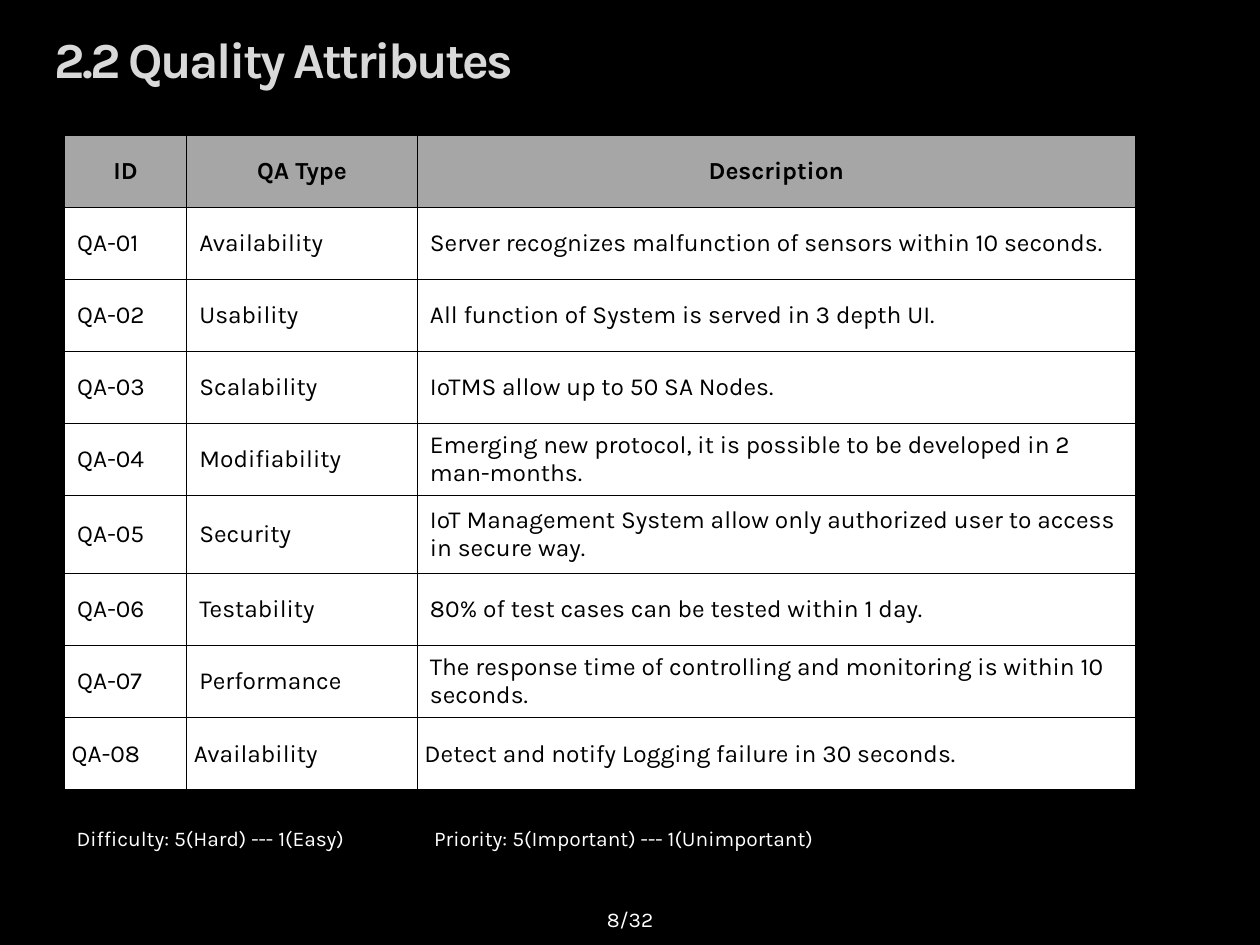
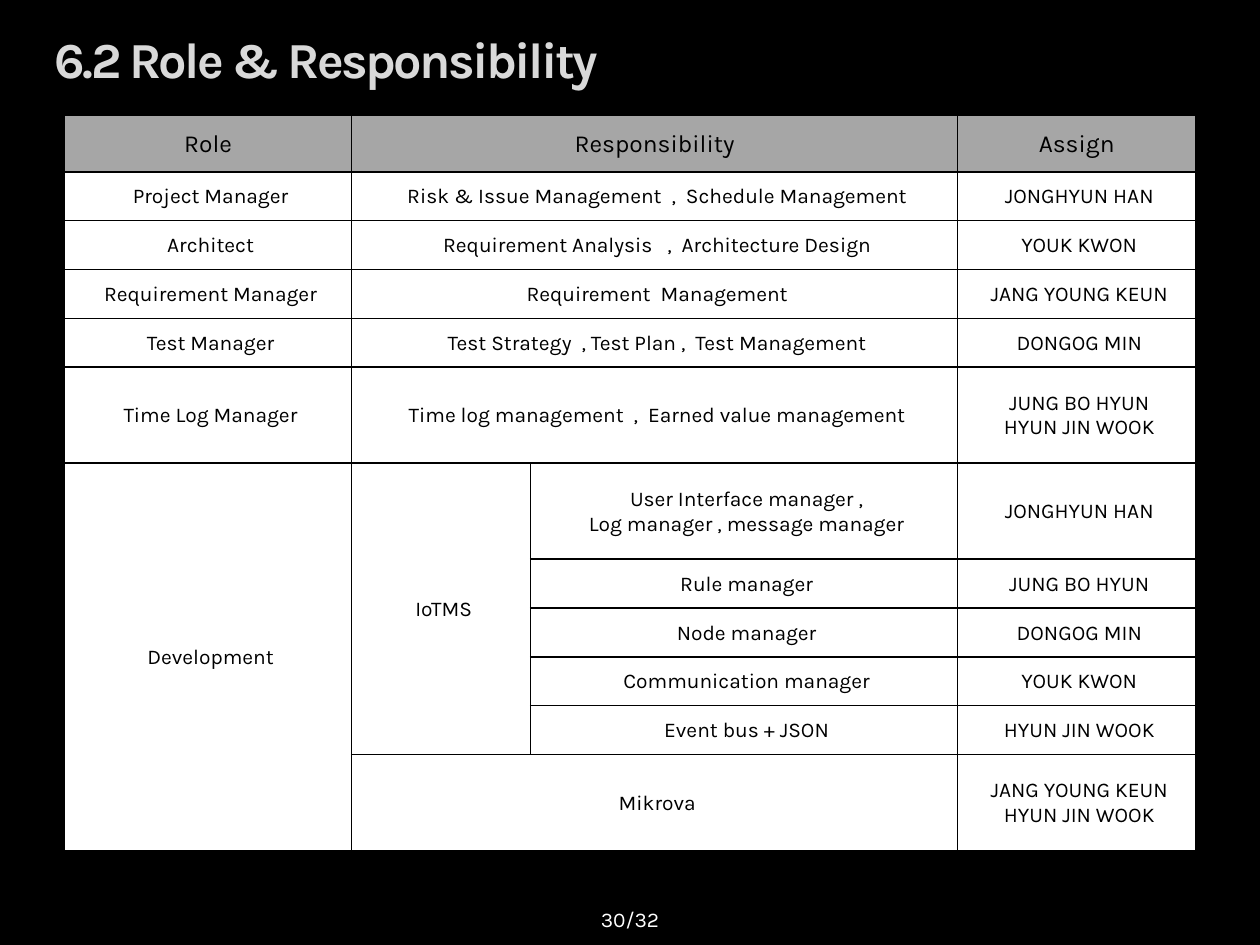
from collections import namedtuple

from lxml import etree
from pptx import Presentation
from pptx.dml.color import RGBColor
from pptx.enum.text import MSO_ANCHOR, PP_ALIGN
from pptx.oxml.ns import qn
from pptx.util import Pt

LEFT, CENTER = PP_ALIGN.LEFT, PP_ALIGN.CENTER
TOP, MIDDLE = MSO_ANCHOR.TOP, MSO_ANCHOR.MIDDLE

BLACK = RGBColor(0x00, 0x00, 0x00)
WHITE = RGBColor(0xFF, 0xFF, 0xFF)
HEADER_GRAY = RGBColor(0xA6, 0xA6, 0xA6)
TITLE_GRAY = RGBColor(0xD9, 0xD9, 0xD9)
FONT = "Karla"
TITLE_ONLY = 5
PAGE_COUNT = 32

Box = namedtuple("Box", "left top width height")
CellStyle = namedtuple("CellStyle", "size bold align margins fill")

SLIDE = Box(0, 0, 720, 540)
TITLE_BOX = Box(24.2, 15, 658, 37)
PAGE_BOX = Box(276, 510.6, 168, 29)
QUALITY_BOX = Box(36.9, 77.4, 612, 374)
LEGEND_BOX = Box(36.7, 468.3, 612, 21.6)
ROLE_BOX = Box(36.8, 65.8, 646.6, 420)

PLAIN_MARGINS = (7.2, 3.6, 7.2, 3.6)
LAST_ROW_MARGINS = (4.1, 0.7, 0.7, 0)
ROLE_HEADER_MARGINS = (0.7, 0.7, 0.7, 0)
ROLE_MARGINS = (5.8, 0.7, 2.9, 0)

QUALITY_ROWS = [
    ("ID", "QA Type", "Description"),
    ("QA-01", "Availability", "Server recognizes malfunction of sensors within 10 seconds."),
    ("QA-02", "Usability", "All function of System is served in 3 depth UI."),
    ("QA-03", "Scalability", "IoTMS allow up to 50 SA Nodes."),
    ("QA-04", "Modifiability", "Emerging new protocol, it is possible to be developed in 2 man-months."),
    ("QA-05", "Security", "IoT Management System allow only authorized user to access in secure way."),
    ("QA-06", "Testability", "80% of test cases can be tested within 1 day."),
    ("QA-07", "Performance", "The response time of controlling and monitoring is within 10 seconds."),
    ("QA-08", "Availability", "Detect and notify Logging failure in 30 seconds."),
]

ROLE_ROWS = [
    ("Role", "Responsibility", None, "Assign"),
    ("Project Manager", "Risk & Issue Management  ,  Schedule Management", None, "JONGHYUN HAN"),
    ("Architect", "Requirement Analysis   ,  Architecture Design", None, "YOUK KWON"),
    ("Requirement Manager", "Requirement  Management", None, "JANG YOUNG KEUN"),
    ("Test Manager", "Test Strategy  , Test Plan ,  Test Management", None, "DONGOG MIN"),
    ("Time Log Manager", "Time log management  ,  Earned value management", None,
     "JUNG BO HYUN\nHYUN JIN WOOK"),
    ("Development", "IoTMS", "User Interface manager ,\nLog manager , message manager", "JONGHYUN HAN"),
    (None, None, "Rule manager", "JUNG BO HYUN"),
    (None, None, "Node manager", "DONGOG MIN"),
    (None, None, "Communication manager", "YOUK KWON"),
    (None, None, "Event bus + JSON", "HYUN JIN WOOK"),
    (None, "Mikrova", None, "JANG YOUNG KEUN\nHYUN JIN WOOK"),
]


def points(box):
    return [Pt(length) for length in box]


def format_text(text_frame, size, color, align=LEFT, bold=False):
    for paragraph in text_frame.paragraphs:
        paragraph.alignment = align
        paragraph.font.name = FONT
        paragraph.font.size = Pt(size)
        paragraph.font.bold = bold
        paragraph.font.color.rgb = color


def add_label(slide, box, text, align=LEFT, anchor=TOP):
    text_frame = slide.shapes.add_textbox(*points(box)).text_frame
    text_frame.word_wrap = True
    text_frame.vertical_anchor = anchor
    text_frame.text = text
    format_text(text_frame, 12, WHITE, align)


def add_title(slide, box, text):
    title = slide.shapes.title
    title.left, title.top, title.width, title.height = points(box)
    text_frame = title.text_frame
    text_frame.text = text
    text_frame.vertical_anchor = MIDDLE
    format_text(text_frame, 28.8, TITLE_GRAY, bold=True)
    text_frame.paragraphs[0].runs[0].font._element.set("spc", "-150")


def add_framed_slide(presentation, title, page):
    slide = presentation.slides.add_slide(presentation.slide_layouts[TITLE_ONLY])
    add_title(slide, TITLE_BOX, title)
    add_label(slide, PAGE_BOX, f"{page}/{PAGE_COUNT}", CENTER, MIDDLE)
    return slide


def add_borders(cell):
    properties = cell._tc.get_or_add_tcPr()
    for position, side in enumerate(("lnL", "lnR", "lnT", "lnB")):
        line = etree.Element(qn(f"a:{side}"), w=str(Pt(1)))
        fill = etree.SubElement(line, qn("a:solidFill"))
        etree.SubElement(fill, qn("a:srgbClr"), val=str(BLACK))
        properties.insert(position, line)


def format_cell(cell, text, style):
    cell.fill.solid()
    cell.fill.fore_color.rgb = style.fill
    add_borders(cell)
    cell.vertical_anchor = MIDDLE
    (cell.margin_left, cell.margin_top,
     cell.margin_right, cell.margin_bottom) = points(style.margins)
    if text:
        cell.text_frame.text = text
    format_text(cell.text_frame, style.size, BLACK, style.align, style.bold)


def add_grid(slide, box, rows, widths, heights, styles):
    table = slide.shapes.add_table(len(rows), len(widths), *points(box)).table
    table.first_row = table.horz_banding = False
    for column, width in zip(table.columns, widths):
        column.width = Pt(width)
    for row, height in zip(table.rows, heights):
        row.height = Pt(height)
    for row, texts, style in zip(table.rows, rows, styles):
        for cell, text in zip(row.cells, texts):
            format_cell(cell, text, style)
    return table


def add_quality_table(slide, box):
    header = CellStyle(14, True, CENTER, PLAIN_MARGINS, HEADER_GRAY)
    body = CellStyle(14, False, LEFT, PLAIN_MARGINS, WHITE)
    last = body._replace(margins=LAST_ROW_MARGINS)
    heights = [41.14] * 5 + [44.6] + [41.14] * 3
    styles = [header] + [body] * 7 + [last]
    add_grid(slide, box, QUALITY_ROWS, (69.8, 131.8, 410.4), heights, styles)


def add_legend(slide, box):
    add_label(slide, box._replace(width=172), "Difficulty: 5(Hard) --- 1(Easy)")
    add_label(slide, box._replace(left=box.left + 204.3, width=236),
              "Priority: 5(Important) --- 1(Unimportant)")


def add_role_table(slide, box):
    header = CellStyle(14, False, CENTER, ROLE_HEADER_MARGINS, HEADER_GRAY)
    body = CellStyle(12, False, CENTER, ROLE_MARGINS, WHITE)
    single, double = 27.9, 54.9
    heights = [32.4] + [single] * 4 + [double] * 2 + [single] * 4 + [double]
    styles = [header] + [body] * (len(ROLE_ROWS) - 1)
    table = add_grid(slide, box, ROLE_ROWS, (164.2, 102.2, 244.1, 136.1), heights, styles)
    for row, texts in enumerate(ROLE_ROWS):
        if texts[2] is None:
            table.cell(row, 1).merge(table.cell(row, 2))
    development_row, last_row = 6, len(ROLE_ROWS) - 1
    table.cell(development_row, 0).merge(table.cell(last_row, 0))
    table.cell(development_row, 1).merge(table.cell(last_row - 1, 1))


def main():
    presentation = Presentation()
    presentation.slide_width, presentation.slide_height = points(SLIDE[2:])
    background = presentation.slide_master.background.fill
    background.solid()
    background.fore_color.rgb = BLACK

    quality_slide = add_framed_slide(presentation, "2.2 Quality Attributes", 8)
    add_quality_table(quality_slide, QUALITY_BOX)
    add_legend(quality_slide, LEGEND_BOX)

    role_slide = add_framed_slide(presentation, "6.2 Role & Responsibility", 30)
    add_role_table(role_slide, ROLE_BOX)

    presentation.save("out.pptx")


if __name__ == "__main__":
    main()
